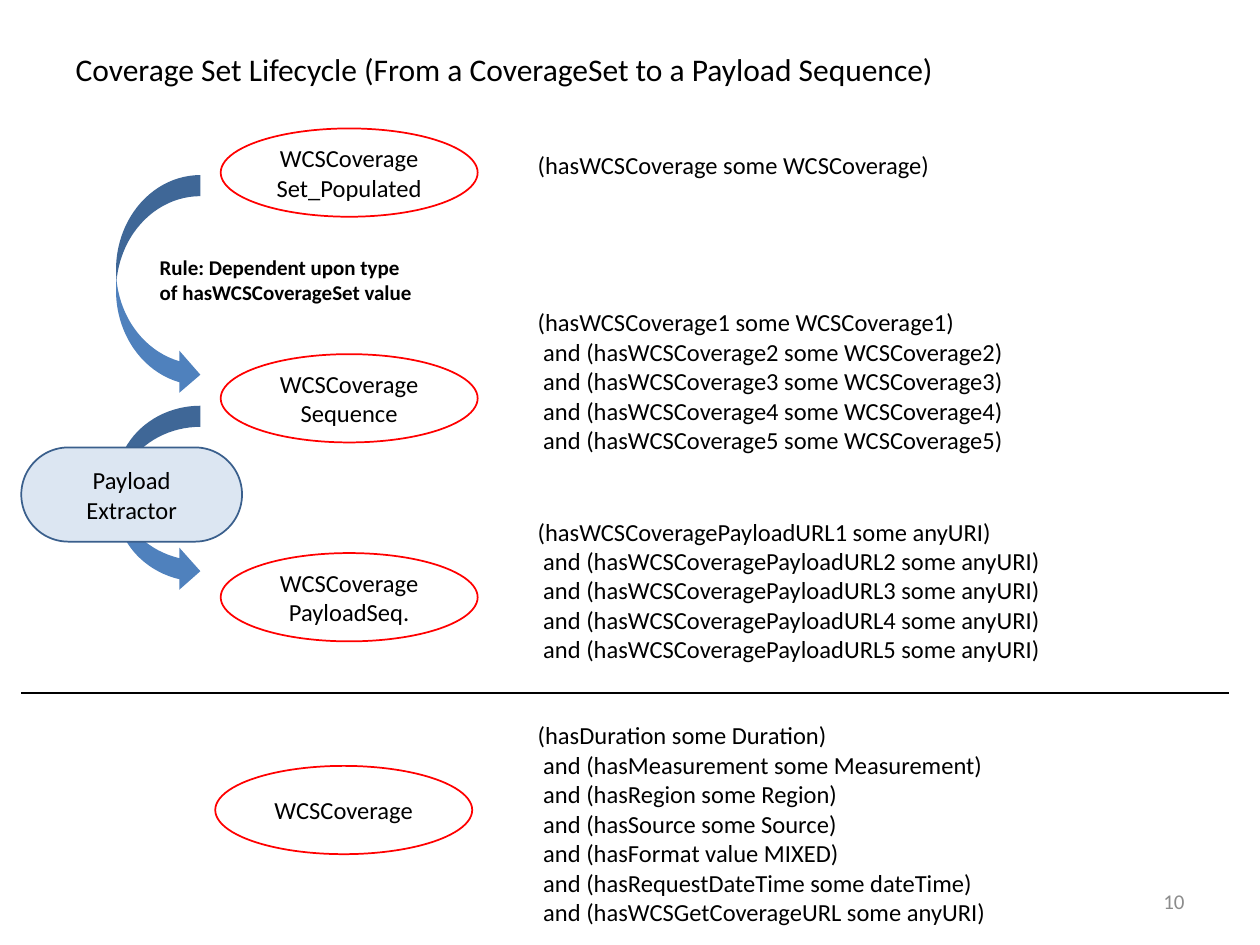
from dataclasses import dataclass

from lxml.etree import SubElement
from pptx import Presentation
from pptx.dml.color import RGBColor
from pptx.enum.shapes import MSO_CONNECTOR, MSO_SHAPE
from pptx.enum.text import MSO_ANCHOR, MSO_AUTO_SIZE, PP_ALIGN
from pptx.oxml.ns import qn
from pptx.util import Cm, Pt


@dataclass(frozen=True)
class Theme:
    """Colours and type sizes of the slide."""
    font: str = "Calibri"
    text: RGBColor = RGBColor(0x00, 0x00, 0x00)
    muted: RGBColor = RGBColor(0x8C, 0x8C, 0x8C)
    state_line: RGBColor = RGBColor(0xFF, 0x00, 0x00)
    arrow: RGBColor = RGBColor(0x4F, 0x81, 0xBD)
    tool_fill: RGBColor = RGBColor(0xDC, 0xE6, 0xF2)
    tool_line: RGBColor = RGBColor(0x3A, 0x5F, 0x8C)
    title_size: Pt = Pt(18)
    body_size: Pt = Pt(14)
    small_size: Pt = Pt(12)


theme = Theme()


def write(shape, lines, size=theme.body_size, color=theme.text, bold=False,
          align=PP_ALIGN.LEFT, anchor=MSO_ANCHOR.TOP):
    """Fill a shape with one formatted paragraph per line."""
    frame = shape.text_frame
    frame.word_wrap = True
    frame.auto_size = MSO_AUTO_SIZE.NONE
    frame.vertical_anchor = anchor
    frame.text = "\n".join(lines)
    for paragraph in frame.paragraphs:
        paragraph.alignment = align
        paragraph.font.name = theme.font
        paragraph.font.size = size
        paragraph.font.bold = bold
        paragraph.font.color.rgb = color


def add_figure(kind, left, top, width, height, fill=None, line=None, lines=()):
    """Add a flat preset shape, with centred text when lines are given."""
    shape = slide.shapes.add_shape(kind, Cm(left), Cm(top), Cm(width), Cm(height))
    shape.shadow.inherit = False
    if fill is None:
        shape.fill.background()
    else:
        shape.fill.solid()
        shape.fill.fore_color.rgb = fill
    if line is None:
        shape.line.fill.background()
    else:
        shape.line.color.rgb = line
        shape.line.width = Pt(1)
    if lines:
        write(shape, lines, align=PP_ALIGN.CENTER, anchor=MSO_ANCHOR.MIDDLE)
    return shape


presentation = Presentation()
presentation.slide_width = Cm(25.4)
presentation.slide_height = Cm(19.05)
slide = presentation.slides.add_slide(presentation.slide_layouts[5])

title = slide.shapes.title
title.left, title.top, title.width, title.height = Cm(1.27), Cm(0.89), Cm(18.85), Cm(1.02)
write(title, ["Coverage Set Lifecycle (From a CoverageSet to a Payload Sequence)"],
      size=theme.title_size)

# Each state: left, top, label, top of its definition, conditions
states = [
    (4.45, 2.59, ["WCSCoverage", "Set_Populated"], 2.9,
     ["hasWCSCoverage some WCSCoverage"]),
    (4.45, 7.14, ["WCSCoverage", "Sequence"], 6.07,
     [f"hasWCSCoverage{n} some WCSCoverage{n}" for n in range(1, 6)]),
    (4.45, 11.15, ["WCSCoverage", "PayloadSeq."], 10.29,
     [f"hasWCSCoveragePayloadURL{n} some anyURI" for n in range(1, 6)]),
    (4.34, 15.44, ["WCSCoverage"], 14.4,
     ["hasDuration some Duration", "hasMeasurement some Measurement",
      "hasRegion some Region", "hasSource some Source", "hasFormat value MIXED",
      "hasRequestDateTime some dateTime", "hasWCSGetCoverageURL some anyURI"]),
]
for left, top, label, definition_top, conditions in states:
    add_figure(MSO_SHAPE.OVAL, left, top, 5.18, 1.78, line=theme.state_line, lines=label)
    height = 0.26 + 0.6 * len(conditions)
    definition = slide.shapes.add_textbox(Cm(10.59), Cm(definition_top), Cm(12.7), Cm(height))
    first, *others = [f"({condition})" for condition in conditions]
    write(definition, [first] + [f" and {other}" for other in others])

for top, height in [(3.53, 4.45), (8.18, 3.76)]:
    add_figure(MSO_SHAPE.CURVED_RIGHT_ARROW, 2.34, top, 1.7, height, fill=theme.arrow)

extractor = add_figure(MSO_SHAPE.ROUNDED_RECTANGLE, 0.43, 9.02, 4.45, 1.9,
                       theme.tool_fill, theme.tool_line, ["Payload", "Extractor"])
extractor.adjustments[0] = 0.5

rule = slide.shapes.add_textbox(Cm(2.97), Cm(5), Cm(5.72), Cm(1.27))
write(rule, ["Rule: Dependent upon type of hasWCSCoverageSet value"],
      size=theme.small_size, bold=True)

divider = slide.shapes.add_connector(MSO_CONNECTOR.STRAIGHT,
                                     Cm(0.43), Cm(13.97), Cm(24.77), Cm(13.97))
divider.line.color.rgb = theme.text
divider.line.width = Pt(1.5)
SubElement(divider._element.spPr, qn("a:effectLst"))

page_number = slide.shapes.add_textbox(Cm(18.21), Cm(17.65), Cm(5.92), Cm(1.02))
write(page_number, ["10"], size=theme.small_size, color=theme.muted,
      align=PP_ALIGN.RIGHT, anchor=MSO_ANCHOR.MIDDLE)

presentation.save("out.pptx")
